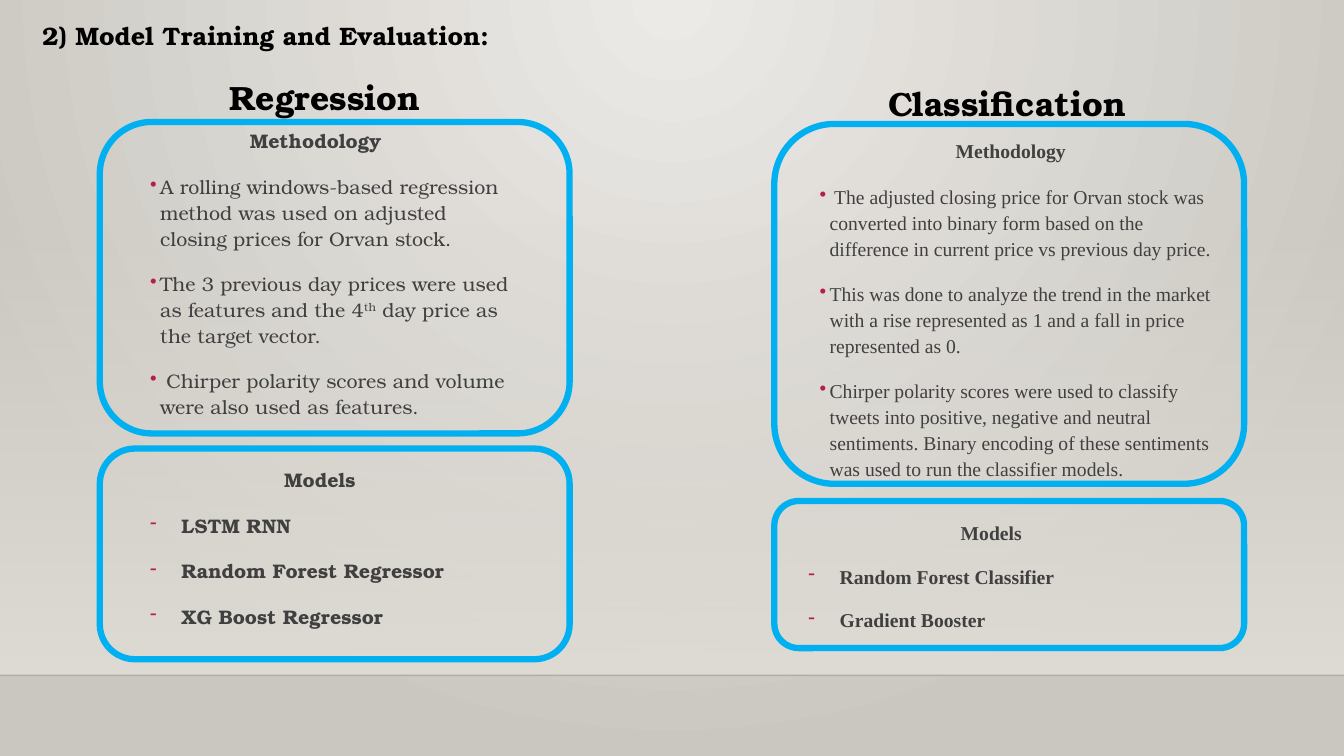
from lxml import etree
from pptx import Presentation
from pptx.dml.color import RGBColor
from pptx.enum.shapes import MSO_CONNECTOR, MSO_SHAPE
from pptx.enum.text import MSO_AUTO_SIZE
from pptx.oxml import parse_xml
from pptx.oxml.ns import nsdecls, qn
from pptx.util import Pt

RECT, ROUND = MSO_SHAPE.RECTANGLE, MSO_SHAPE.ROUNDED_RECTANGLE
STRAIGHT = MSO_CONNECTOR.STRAIGHT
FIT = MSO_AUTO_SIZE.SHAPE_TO_FIT_TEXT
PX = 9144
BONUM, TIMES = "TeX Gyre Bonum", "Times New Roman"
COLORS = {
    "glow": "ECEAE7", "edge": "CAC7C1", "wall": "DFDBD5", "floor": "000001",
    "frame": "00B0F0", "title": "000000", "text": "404040", "bullet": "B71E42",
}


def set_gradient(owner, stops, direction):
    gs = "".join(
        f'<a:gs pos="{pos}"><a:srgbClr val="{COLORS[name]}">'
        f'<a:alpha val="{alpha}"/></a:srgbClr></a:gs>'
        for pos, name, alpha in stops)
    old = owner.xpath(".//a:gradFill")[0]
    old.getparent().replace(old, parse_xml(
        f'<a:gradFill {nsdecls("a")} rotWithShape="1">'
        f'<a:gsLst>{gs}</a:gsLst>{direction}</a:gradFill>'))


def add_run(p, text, font, size, color, bold):
    r = p.add_run()
    r.text = text
    for name, value in {"name": font, "size": Pt(size), "bold": bold}.items():
        setattr(r.font, name, value)
    r.font.color.rgb = RGBColor.from_string(COLORS[color])
    return r


prs = Presentation()
prs.slide_width, prs.slide_height = 1333 * PX, 750 * PX
s = prs.slides.add_slide(prs.slide_layouts[6])

s.background.fill.gradient()
set_gradient(
    s.element, [(0, "glow", 100000), (100000, "edge", 100000)],
    '<a:path path="circle">'
    '<a:fillToRect l="43000" t="0" r="43000" b="100000"/></a:path>')

wall = s.shapes.add_shape(RECT, 0, 221 * PX, 1333 * PX, 449 * PX)
wall.shadow.inherit = False
wall.line.fill.background()
wall.fill.gradient()
set_gradient(wall.element, [(0, "wall", 0), (100000, "wall", 100000)],
             '<a:lin ang="5400000" scaled="0"/>')

floor = s.shapes.add_connector(STRAIGHT, 0, 670 * PX, 1333 * PX, 670 * PX)
floor.line.width = Pt(1)
floor.line.color.rgb = RGBColor.from_string(COLORS["floor"])
floor_color = floor.element.xpath(".//a:ln//a:srgbClr")[0]
etree.SubElement(floor_color, qn("a:alpha")).set("val", "20000")
etree.SubElement(floor.element.spPr, qn("a:effectLst"))

for x, y, w, h in [(99, 121, 466, 309), (768, 123, 466, 357),
                   (99, 445, 466, 209), (768, 497, 466, 146)]:
    frame = s.shapes.add_shape(ROUND, x * PX, y * PX, w * PX, h * PX)
    frame.shadow.inherit = False
    frame.fill.background()
    frame.line.width = Pt(4.5)
    frame.line.color.rgb = RGBColor.from_string(COLORS["frame"])

panels = [
    ((139, 121, 385, 310), BONUM, "Methodology", 99, "•", 10, False, 1.1, [
        "A rolling windows-based regression method was used on adjusted closing prices for Orvan stock.",
        "The 3 previous day prices were used as features and the 4^th^ day price as the target vector.",
        " Chirper polarity scores and volume were also used as features."]),
    ((803, 131, 422, 366), TIMES, "Methodology", 135, "•", 10, False, 1.1, [
        " The adjusted closing price for Orvan stock was converted into binary form based on the difference in current price vs previous day price.",
        "This was done to analyze the trend in the market with a rise represented as 1 and a fall in price represented as 0.",
        "Chirper polarity scores were used to classify tweets into positive, negative and neutral sentiments. Binary encoding of these sentiments was used to run the classifier models."]),
    ((139, 457, 385, 199), BONUM, "Models", 133, "-", 31, True, 1.1, [
        "LSTM RNN", "Random Forest Regressor", "XG Boost Regressor"]),
    ((792, 510, 391, 130), TIMES, "Models", 151, "-", 31, True, 1.0, [
        "Random Forest Classifier", "Gradient Booster"]),
]
for box, font, heading, offset, mark, indent, bold, spacing, items in panels:
    tf = s.shapes.add_textbox(*(v * PX for v in box)).text_frame
    tf.word_wrap = True
    p = tf.paragraphs[0]
    p.line_spacing, p.space_after = 1.1, Pt(2)
    p._p.get_or_add_pPr().set("marL", str(offset * PX))
    add_run(p, heading, font, 14, "text", True)
    for item in items:
        p = tf.add_paragraph()
        pPr = p._p.get_or_add_pPr()
        pPr.set("marL", str(indent * PX))
        pPr.set("indent", str(-indent * PX))
        color = etree.SubElement(pPr, qn("a:buClr"))
        etree.SubElement(color, qn("a:srgbClr")).set("val", COLORS["bullet"])
        etree.SubElement(pPr, qn("a:buChar")).set("char", mark)
        p.line_spacing, p.space_before, p.space_after = spacing, Pt(12), Pt(2)
        for i, part in enumerate(item.split("^")):
            r = add_run(p, part, font, 14, "text", bold)
            if i % 2:
                r._r.get_or_add_rPr().set("baseline", "30000")

titles = [
    ("Regression", (218, 71, 211, 50), 24, False),
    ("Classification", (871, 77, 286, 50), 24, True),
    ("2) Model Training and Evaluation:", (32, 15, 583, 40), 18, True),
]
for text, box, size, wrap in titles:
    tf = s.shapes.add_textbox(*(v * PX for v in box)).text_frame
    tf.word_wrap, tf.auto_size = wrap, FIT
    add_run(tf.paragraphs[0], text, BONUM, size, "title", True)

prs.save("out.pptx")
